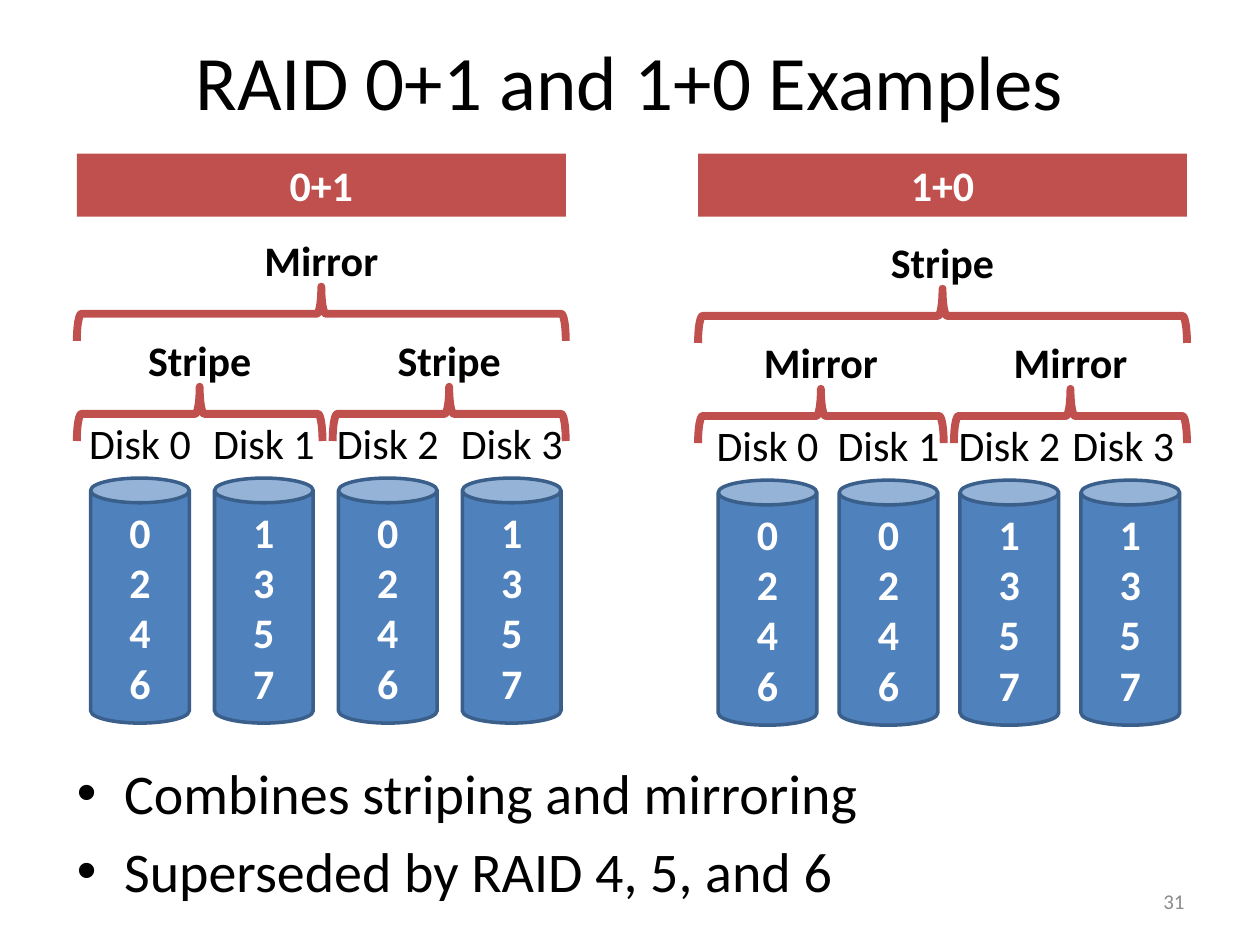
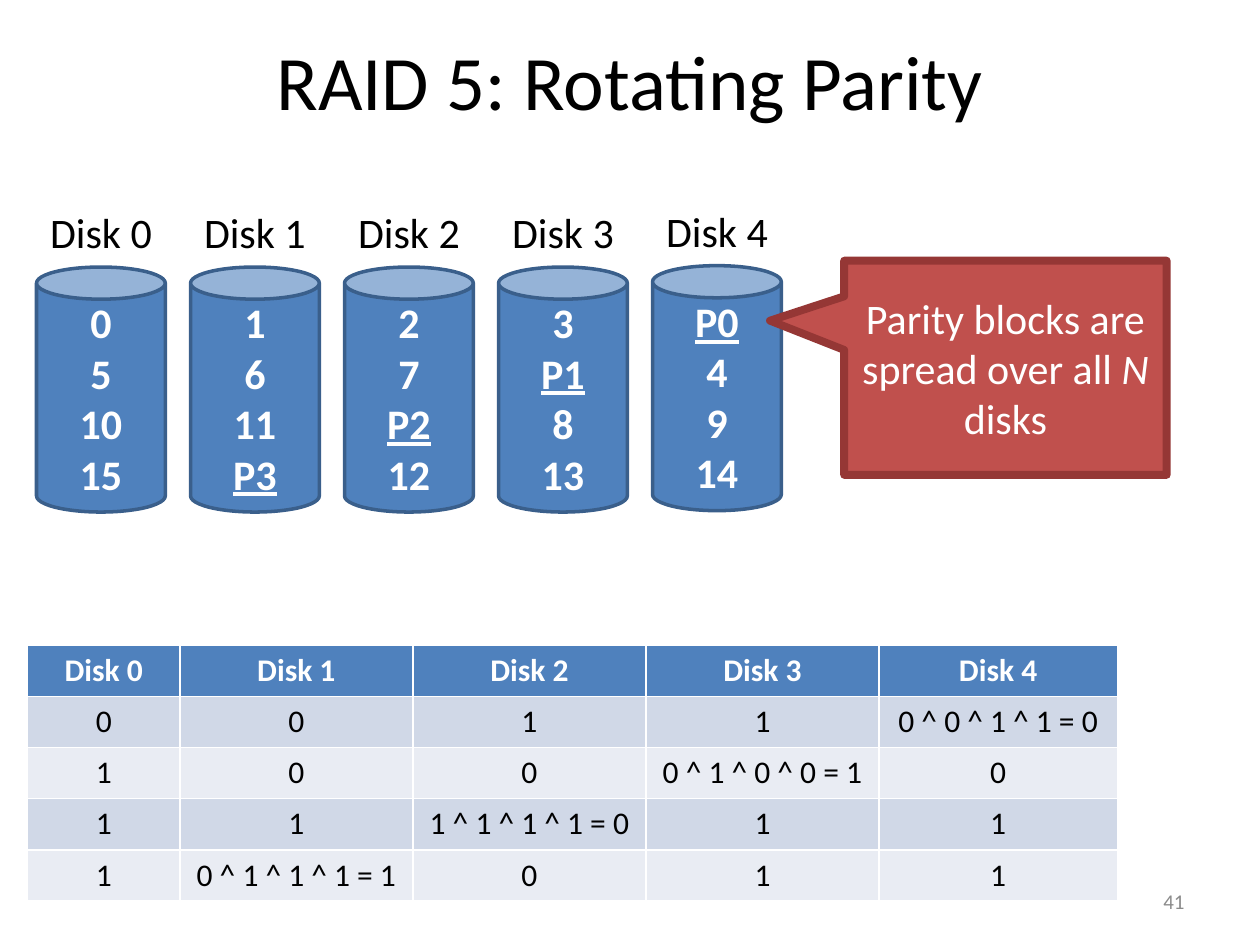
from pptx import Presentation
from pptx.dml.color import RGBColor
from pptx.enum.shapes import MSO_SHAPE as Shape
from pptx.enum.text import MSO_ANCHOR as Anchor, PP_ALIGN as Align
from pptx.util import Pt

HUES = {
    "black": "000000", "white": "FFFFFF", "gray": "8B8B8B",
    "blue": "4F81BD", "navy": "3A5F8B", "red": "C0504D", "wine": "953735",
    "dark": "D0D8E7", "pale": "E9ECF3",
}
FONT = "Calibri"


def hue(name):
    """Return the colour with the given name."""
    return RGBColor.from_string(HUES[name])


def write(frame, text, size=24, color="black", bold=False, align=Align.CENTER,
          anchor=Anchor.MIDDLE, wrap=True, space=0, marks=None):
    """Fill a frame: newlines part paragraphs, bars part runs, marks style runs."""
    frame.word_wrap = wrap
    frame.vertical_anchor = anchor
    for i, line in enumerate(text.split("\n")):
        para = frame.add_paragraph() if i else frame.paragraphs[0]
        para.alignment = align
        para.space_before = Pt(space if i else 0)
        for part in line.split("|"):
            run = para.add_run()
            run.text = part
            font = run.font
            font.name, font.size, font.bold = FONT, Pt(size), bold
            font.color.rgb = hue(color)
            if marks and part in marks:
                setattr(font, marks[part], True)


class Deck:
    """Holds the shared style and the current slide."""

    def __init__(self):
        """Start an empty 4:3 deck."""
        self.show = Presentation()
        self.show.slide_width, self.show.slide_height = Pt(720), Pt(540)

    def place(self, item, x, y, w, h):
        """Move and size an element."""
        item.left, item.top, item.width, item.height = Pt(x), Pt(y), Pt(w), Pt(h)

    def page(self, title, number, layout):
        """Add a slide with its title and number."""
        self.slide = self.show.slides.add_slide(self.show.slide_layouts[layout])
        head = self.slide.shapes.title
        self.place(head, 36, 0.7, 648, 90)
        write(head.text_frame, title, size=44)
        self.label(number, 516, 500.4, 168, 28.8, size=12, color="gray",
                   align=Align.RIGHT, anchor=Anchor.MIDDLE, wrap=True)

    def label(self, text, x, y, w, h=36, anchor=Anchor.TOP, wrap=False, **style):
        """Add a text box."""
        box = self.slide.shapes.add_textbox(Pt(x), Pt(y), Pt(w), Pt(h))
        write(box.text_frame, text, anchor=anchor, wrap=wrap, **style)

    def tag(self, text, mid, y, **style):
        """Add a one-line label centred on a point."""
        self.label(text, mid - 42, y, 84, **style)

    def shape(self, kind, x, y, w, h, fill=None, line=None, width=2):
        """Add a flat preset shape."""
        item = self.slide.shapes.add_shape(kind, Pt(x), Pt(y), Pt(w), Pt(h))
        item.shadow.inherit = False
        if fill:
            item.fill.solid()
            item.fill.fore_color.rgb = hue(fill)
        else:
            item.fill.background()
        if line:
            item.line.color.rgb = hue(line)
            item.line.width = Pt(width)
        else:
            item.line.fill.background()
        return item

    def band(self, text, x, y, w):
        """Add a red heading band."""
        item = self.shape(Shape.RECTANGLE, x, y, w, 36, fill="red")
        write(item.text_frame, text, color="white", bold=True)

    def disk(self, name, blocks, x, y, w, nudge=0):
        """Add a labelled disk with its blocks, parity underlined."""
        can = self.shape(Shape.CAN, x, y, w, 140, fill="blue", line="navy")
        marks = {block: "underline" for block in blocks if block.startswith("P")}
        write(can.text_frame, "\n".join(blocks), color="white", bold=True, marks=marks)
        self.tag(name, x + w / 2 + nudge, y - 38)

    def brace(self, text, x, y, w, h=31):
        """Add a brace that opens downwards, with a bold label above."""
        mid = x + w / 2
        item = self.shape(Shape.RIGHT_BRACE, mid - h / 2, y + h / 2 - w / 2, h, w,
                          line="red", width=4.5)
        item.rotation = 270
        self.tag(text, mid, y - 33.3, bold=True)

    def bullets(self, text, x, y, w, h):
        """Fill the body placeholder with a list."""
        body = self.slide.placeholders[1]
        self.place(body, x, y, w, h)
        write(body.text_frame, text, size=32, align=Align.LEFT,
              anchor=Anchor.TOP, space=6.4)

    def callout(self, text, x, y, w, h, tip, marks):
        """Add a red callout whose tip is given in shares of its size."""
        item = self.shape(Shape.RECTANGULAR_CALLOUT, x, y, w, h,
                          fill="red", line="wine", width=4.5)
        item.adjustments[0], item.adjustments[1] = tip
        write(item.text_frame, text, color="white", marks=marks)

    def table(self, rows, x, y, widths, high):
        """Add a banded table with a blue head row."""
        grid = self.slide.shapes.add_table(
            len(rows), len(widths), Pt(x), Pt(y), Pt(sum(widths)), Pt(high * len(rows))).table
        for col, width in zip(grid.columns, widths):
            col.width = Pt(width)
        for r, row in enumerate(rows):
            grid.rows[r].height = Pt(high)
            fill = "blue" if r == 0 else ("pale", "dark")[r % 2]
            for c, text in enumerate(row):
                cell = grid.cell(r, c)
                cell.fill.solid()
                cell.fill.fore_color.rgb = hue(fill)
                write(cell.text_frame, text, size=18, bold=r == 0,
                      color="black" if r else "white")
                cell.vertical_anchor = Anchor.TOP


def nested(deck, name, outer, inner, disks, x, drop, start, step, nudge):
    """Draw one nested array: band, braces and four disks."""
    deck.band(name, x, 87.8, 279.4)
    deck.brace(outer, x, 163.8 + drop, 279.4)
    deck.brace(inner, x, 221 + drop, 140.4)
    deck.brace(inner, x + 146.2, 221 + drop, 133.2)
    for i, blocks in enumerate(disks):
        deck.disk(f"Disk {i}", blocks, start + i * step, 273.2 + drop, 56.4,
                  nudge if i == 3 else 0)


def levels(deck):
    """Build the slide on nested arrays."""
    deck.page("RAID 0+1 and 1+0 Examples", "31", 1)
    even, odd = "0246", "1357"
    nested(deck, "0+1", "Mirror", "Stripe", [even, odd, even, odd],
           43.9, 0, 51.8, 70.8, 0)
    nested(deck, "1+0", "Stripe", "Mirror", [even, even, odd, odd],
           398.9, 1.2, 410.4, 69.1, -4)
    deck.bullets("Combines striping and mirroring\nSuperseded by RAID 4, 5, and 6",
                 36.7, 429.8, 648, 101.5)


def parity(deck):
    """Build the slide on rotating parity."""
    deck.page("RAID 5: Rotating Parity", "41", 5)
    disks = ["0 5 10 15", "1 6 11 P3", "2 7 P2 12", "3 P1 8 13", "P0 4 9 14"]
    names = [f"Disk {i}" for i in range(len(disks))]
    for i, blocks in enumerate(disks):
        deck.disk(names[i], blocks.split(), 20.9 + 88 * i, 151.8 if i == 4 else 152.6, 73.6)
    deck.table([
        names,
        ["0", "0", "1", "1", "0 ^ 0 ^ 1 ^ 1 = 0"],
        ["1", "0", "0", "0 ^ 1 ^ 0 ^ 0 = 1", "0"],
        ["1", "1", "1 ^ 1 ^ 1 ^ 1 = 0", "1", "1"],
        ["1", "0 ^ 1 ^ 1 ^ 1 = 1", "0", "1", "1"],
    ], 15.8, 368.8, [87, 133.2, 133.2, 133.2, 136.2], 29.2)
    deck.callout("Parity blocks are spread over all |N |disks",
                 482.4, 149, 184.3, 122.4, (-0.73, -0.22), {"N ": "italic"})


def main():
    """Build and save the deck."""
    deck = Deck()
    levels(deck)
    parity(deck)
    deck.show.save("out.pptx")


if __name__ == "__main__":
    main()
